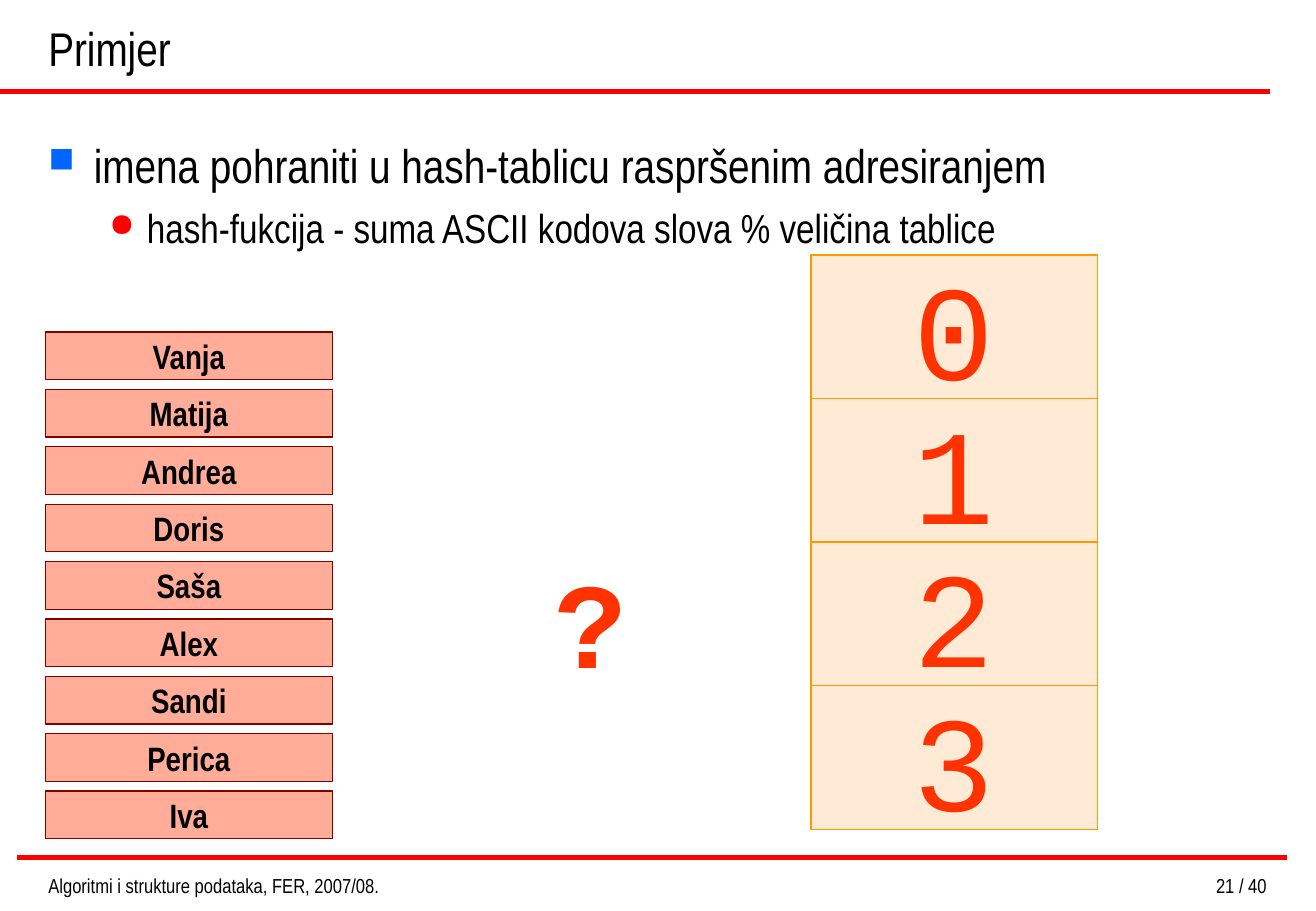
from dataclasses import dataclass

from lxml.etree import SubElement
from pptx import Presentation
from pptx.dml.color import RGBColor
from pptx.enum.shapes import MSO_CONNECTOR as Connector, MSO_SHAPE as Preset
from pptx.enum.text import MSO_ANCHOR as Anchor, PP_ALIGN as Align
from pptx.oxml.ns import qn
from pptx.util import Pt


@dataclass(frozen=True)
class Theme:
    sans: str = "Arial Narrow"
    mono: str = "Courier New"
    black: str = "000000"
    rule: str = "FF0000"
    square_bullet: str = "0066FF"
    round_bullet: str = "FF0000"
    accent: str = "FF3300"
    name_line: str = "800000"
    slot_fill: str = "FFCC99"
    slot_line: str = "FF9900"
    heading_size: int = 28
    detail_size: int = 24
    name_size: int = 20
    slot_size: int = 80
    question_size: int = 72
    footer_size: int = 12


THEME = Theme()
NAMES = ["Vanja", "Matija", "Andrea", "Doris", "Saša", "Alex", "Sandi", "Perica", "Iva"]
SLOT_COUNT = 4
BOX_WIDTH = 170


def style_font(paragraph, size, name=THEME.sans, color=THEME.black, bold=False):
    font = paragraph.font
    font.name, font.size, font.bold = name, Pt(size), bold
    font.color.rgb = RGBColor.from_string(color)


def add_text(slide, bounds, text, size, align=Align.LEFT, anchor=Anchor.TOP, **font):
    frame = slide.shapes.add_textbox(*map(Pt, bounds)).text_frame
    frame.word_wrap = True
    frame.vertical_anchor = anchor
    paragraph = frame.paragraphs[0]
    paragraph.text, paragraph.alignment = text, align
    style_font(paragraph, size, **font)


def add_bullet(paragraph, text, size, symbol, color, scale, margin, indent):
    paragraph.text = text
    properties = paragraph._p.get_or_add_pPr()
    properties.set("marL", str(Pt(margin)))
    properties.set("indent", str(Pt(-indent)))
    bullet_color = SubElement(properties, qn("a:buClr"))
    SubElement(bullet_color, qn("a:srgbClr"), val=color)
    SubElement(properties, qn("a:buSzPct"), val=str(scale * 1000))
    SubElement(properties, qn("a:buChar"), char=symbol)
    style_font(paragraph, size)


def add_rule(slide, left, right, y):
    line = slide.shapes.add_connector(Connector.STRAIGHT, Pt(left), Pt(y), Pt(right), Pt(y))
    line.line.color.rgb = RGBColor.from_string(THEME.rule)
    line.line.width = Pt(3)
    SubElement(line._element.spPr, qn("a:effectLst"))


def add_box(shapes, bounds, text, fill, outline, size, **font):
    box = shapes.add_shape(Preset.RECTANGLE, *map(Pt, bounds))
    box.shadow.inherit = False
    box.fill.solid()
    box.fill.fore_color.rgb = RGBColor.from_string(fill)
    fill_color = box._element.spPr.find(qn("a:solidFill")).find(qn("a:srgbClr"))
    SubElement(fill_color, qn("a:alpha"), val="40000")
    box.line.color.rgb = RGBColor.from_string(outline)
    box.line.width = Pt(0.75)
    frame = box.text_frame
    frame.word_wrap = False
    frame.vertical_anchor = Anchor.MIDDLE
    paragraph = frame.paragraphs[0]
    paragraph.text, paragraph.alignment = text, Align.CENTER
    style_font(paragraph, size, **font)


def add_body(slide):
    frame = slide.shapes.add_textbox(Pt(21.6), Pt(77), Pt(737.3), Pt(419.8)).text_frame
    frame.word_wrap = True
    add_bullet(frame.paragraphs[0], "imena pohraniti u hash-tablicu raspršenim adresiranjem",
               THEME.heading_size, "■", THEME.square_bullet, 75, 27, 27)
    detail = frame.add_paragraph()
    detail.level = 1
    detail.space_before = Pt(6)
    add_bullet(detail, "hash-fukcija - suma ASCII kodova slova % veličina tablice",
               THEME.detail_size, "●", THEME.round_bullet, 80, 58.5, 22.5)


def add_hash_table(slide):
    group = slide.shapes.add_group_shape()
    height = 85.1
    for slot in range(SLOT_COUNT):
        add_box(group.shapes, (481, 151.2 + slot * height, BOX_WIDTH, height), str(slot),
                THEME.slot_fill, THEME.slot_line, THEME.slot_size,
                name=THEME.mono, color=THEME.accent)


def add_names(slide):
    for row, name in enumerate(NAMES):
        add_box(slide.shapes, (27, 196.8 + row * 34.02, BOX_WIDTH, 28.3), name,
                THEME.accent, THEME.name_line, THEME.name_size, bold=True)


def main():
    presentation = Presentation()
    presentation.slide_width = Pt(780.48)
    presentation.slide_height = Pt(540)
    slide = presentation.slides.add_slide(presentation.slide_layouts[6])

    # Rules and title
    add_rule(slide, 0, 753, 54.4)
    add_rule(slide, 10, 763.3, 508.5)
    add_text(slide, (21.6, 0, 731.5, 48.5), "Primjer", THEME.heading_size,
             anchor=Anchor.BOTTOM)

    # Task, table slots and names to store
    add_body(slide)
    add_hash_table(slide)
    add_names(slide)
    add_text(slide, (321.8, 321, 57.6, 93.6), "?", THEME.question_size,
             name=THEME.mono, color=THEME.accent, bold=True)

    # Footer
    add_text(slide, (21.6, 514.4, 272, 17.3), "Algoritmi i strukture podataka, FER, 2007/08.",
             THEME.footer_size)
    add_text(slide, (559, 514.4, 199.4, 17.3), "21 / 40", THEME.footer_size, Align.RIGHT)

    presentation.save("out.pptx")


if __name__ == "__main__":
    main()
